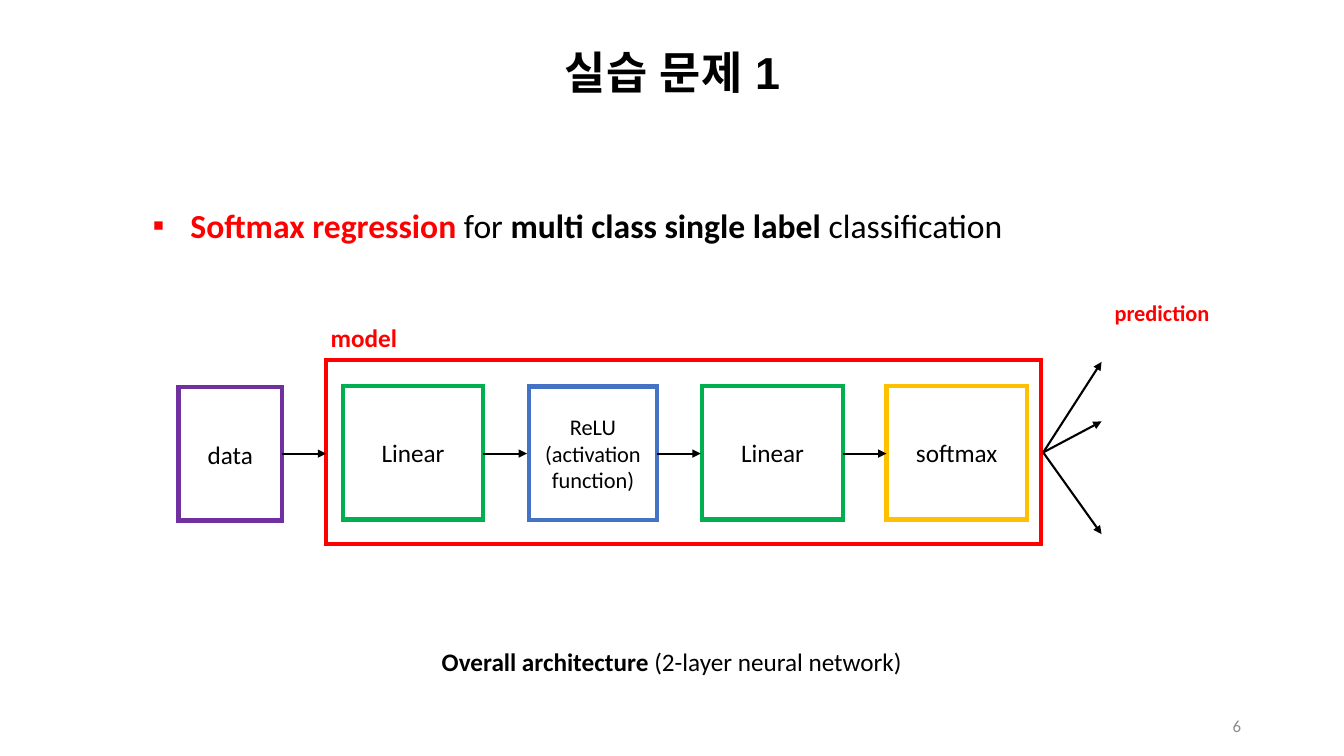
"""Build a slide that shows a two-layer softmax network as a flow of boxes."""
from dataclasses import dataclass

from lxml.etree import SubElement
from pptx import Presentation
from pptx.dml.color import RGBColor
from pptx.enum.shapes import MSO_CONNECTOR, MSO_SHAPE
from pptx.enum.text import MSO_ANCHOR, PP_ALIGN
from pptx.oxml.ns import qn
from pptx.util import Cm, Pt


@dataclass(frozen=True)
class Theme:
    black: str = "000000"
    red: str = "FF0000"
    green: str = "00B050"
    blue: str = "4472C4"
    purple: str = "7030A0"
    gold: str = "FFC000"
    gray: str = "8C8C8C"
    title: int = 32
    lead: int = 24
    body: int = 18
    label: int = 16
    small: int = 12
    border: float = 3
    arrow: float = 1.5
    head: str = "Arial"
    text: str = "Calibri"


theme = Theme()


def write(shape, runs, size, align=PP_ALIGN.CENTER, anchor=MSO_ANCHOR.MIDDLE, font=theme.text):
    frame = shape.text_frame
    for key, value in {"word_wrap": True, "vertical_anchor": anchor}.items():
        setattr(frame, key, value)
    para = frame.paragraphs[0]
    para.alignment = align
    for words, color, bold in runs:
        for row, line in enumerate(words.split("\n")):
            if row:
                para.add_line_break()
            run = para.add_run()
            run.text = line
            style = {"name": font, "size": Pt(size), "bold": bold}
            for key, value in style.items():
                setattr(run.font, key, value)
            run.font.color.rgb = RGBColor.from_string(color)
            SubElement(run._r.get_or_add_rPr(), qn("a:ea"), typeface=font)
    return para


def join(start, end):
    line = slide.shapes.add_connector(MSO_CONNECTOR.STRAIGHT, *map(Cm, start + end))
    line.line.width = Pt(theme.arrow)
    line.line.color.rgb = RGBColor.from_string(theme.black)
    SubElement(line.line._get_or_add_ln(), qn("a:tailEnd"), type="triangle")
    SubElement(line._element.spPr, qn("a:effectLst"))


deck = Presentation()
deck.slide_width, deck.slide_height = Cm(33.87), Cm(19.05)
slide = deck.slides.add_slide(deck.slide_layouts[6])

top, mid = MSO_ANCHOR.TOP, MSO_ANCHOR.MIDDLE
left, center, right = PP_ALIGN.LEFT, PP_ALIGN.CENTER, PP_ALIGN.RIGHT
black, red = theme.black, theme.red
texts = {
    "page": ((23.91, 17.78, 7.62, 1.02), [("6", theme.gray, False)],
             theme.small, right, mid, theme.text),
    "title": ((2.34, 0.76, 29.21, 2.24), [("실습 문제 1", black, True)],
              theme.title, center, mid, theme.head),
    "lead": ((2.33, 4.03, 28.22, 2.03),
             [("Softmax regression ", red, True), ("for ", black, False),
              ("multi class single label ", black, True), ("classification", black, False)],
             theme.lead, left, top, theme.text),
    "foot": ((6.59, 16.15, 20.68, 1.02),
             [("Overall architecture ", black, True),
              ("(2-layer neural network)", black, False)],
             theme.body, center, top, theme.text),
    "model": ((7.72, 8, 2.9, 1.02), [("model", red, True)],
              theme.body, center, top, theme.text),
    "guess": ((27.76, 7.42, 3.05, 0.94), [("prediction", red, True)],
              theme.label, center, top, theme.text),
}
paras = {}
for name, (place, *rest) in texts.items():
    box = slide.shapes.add_textbox(*map(Cm, place))
    paras[name] = write(box, *rest)

paras["title"].line_spacing = 0.9
lead = paras["lead"]
lead.line_spacing = 2.0
props = lead._p.get_or_add_pPr()
for key, value in {"marL": Cm(2.22), "indent": Cm(-0.95)}.items():
    props.set(key, str(value))
SubElement(props, qn("a:buFont"), typeface=theme.head)
SubElement(props, qn("a:buChar"), char="▪")

steps = [
    ("data", 4.5, 9.76, 2.61, theme.purple, theme.body),
    ("Linear", 8.64, 9.73, 3.54, theme.green, theme.body),
    ("ReLU\n(activation function)", 13.33, 9.74, 3.23, theme.blue, theme.label),
    ("Linear", 17.7, 9.73, 3.54, theme.green, theme.body),
    ("softmax", 22.34, 9.73, 3.54, theme.gold, theme.body),
]
model = (8.22, 9.07, 18.02, 4.64)
boxes = [("", model, red, theme.body)]
boxes += [(words, (x, y, wide, 3.36), color, size) for words, x, y, wide, color, size in steps]
for words, place, color, size in boxes:
    box = slide.shapes.add_shape(MSO_SHAPE.RECTANGLE, *map(Cm, place))
    box.shadow.inherit = False
    box.fill.background()
    box.line.width = Pt(theme.border)
    box.line.color.rgb = RGBColor.from_string(color)
    SubElement(box.line._get_or_add_ln(), qn("a:miter"), lim="800000")
    if words:
        write(box, [(words, black, False)], size)

level = 11.43
goals = (model[0], 13.28, 17.66, 22.34)
for (_, x, _, wide, *_), goal in zip(steps, goals):
    join((x + wide, level), (goal, level))
for goal in (9.12, 10.62, 13.46):
    join((26.29, 11.4), (27.76, goal))

deck.save("out.pptx")
